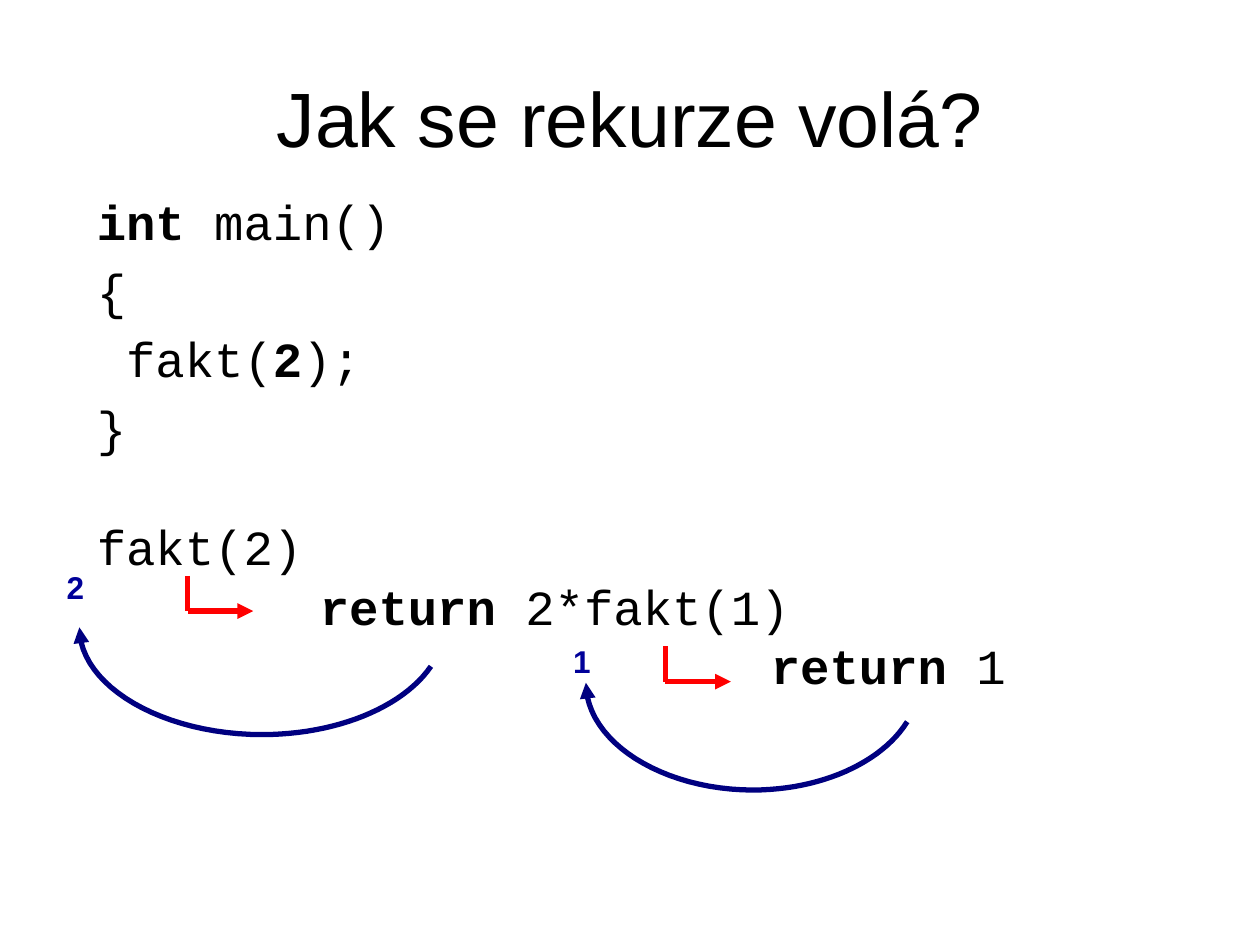
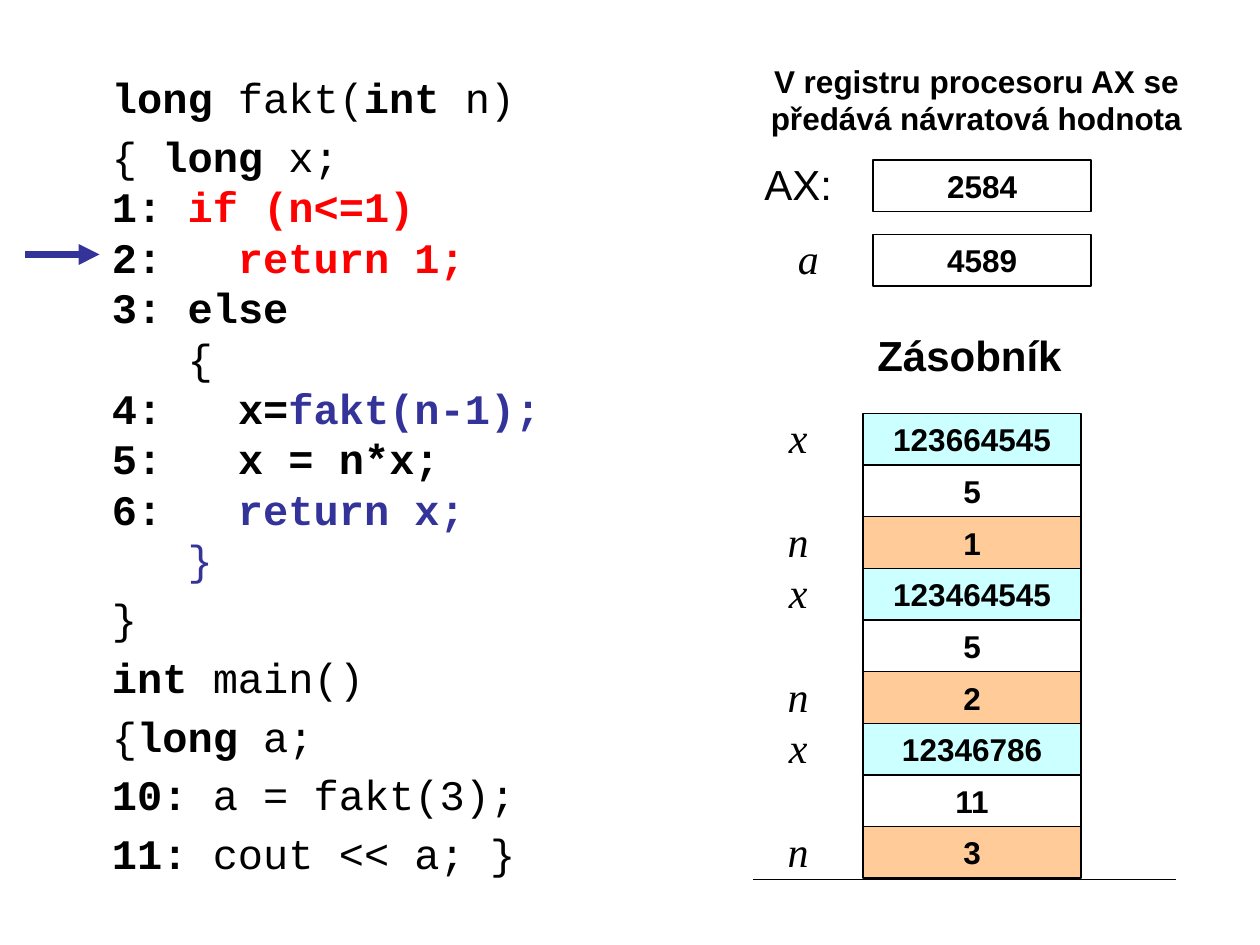
"""Two slides on recursion: the call chain and the stack of a factorial."""
from lxml import etree
from pptx import Presentation
from pptx.dml.color import RGBColor
from pptx.enum.shapes import MSO_CONNECTOR, MSO_SHAPE
from pptx.enum.text import MSO_ANCHOR, PP_ALIGN
from pptx.oxml.ns import qn
from pptx.util import Inches, Pt

LEFT, MID = PP_ALIGN.LEFT, PP_ALIGN.CENTER
MIDDLE = MSO_ANCHOR.MIDDLE
RECT, LINE = MSO_SHAPE.RECTANGLE, MSO_CONNECTOR.STRAIGHT
INK = {"black": "000000", "red": "FF0000", "blue": "333399", "navy": "000080",
       "digit": "000099", "aqua": "CCFFFF", "peach": "FFCC99"}
SANS, MONO, SERIF = "Arial", "Courier New", "Times New Roman"

STYLES = {
    "n": ({"bold": False}, "black"),
    "b": ({"bold": True}, "black"),
    "r": ({"bold": True}, "red"),
    "u": ({"bold": True}, "blue"),
    "v": ({"bold": False}, "blue"),
}
HEAD = {"name": SANS, "size": Pt(24), "bold": True}
NOTE = {"name": SANS, "size": Pt(18), "bold": True}
PLAIN = {"name": SANS, "size": Pt(24)}
VAR = {"name": SERIF, "size": Pt(24), "italic": True}

TITLE = "Jak se rekurze volá?"
MAIN = [
    [("int", "b"), (" main()", "n")],
    [("{", "n")],
    [(" fakt(", "n"), ("2", "b"), (");", "n")],
    [("}", "n")],
]
CALLS = [
    ((0.67, 4.1, 1.9, 0.55), [("fakt(2)", "n")]),
    ((2.44, 4.58, 4.29, 0.55), [("return", "b"), (" 2*fakt(1)", "n")]),
    ((6.02, 5.05, 2.2, 0.55), [("return", "b"), (" 1", "n")]),
]
STEPS = [(1.49, 4.57), (5.28, 5.13)]
BACKS = [
    ("1", (4.45, 5.05), (4.65, 5.41, 2.55)),
    ("2", (0.43, 4.46), (0.63, 4.97, 2.79)),
]
ARC = [
    [(1, 0.37), (0.92, 0.75), (0.73, 1), (0.52, 1)],
    [(0.52, 1), (0.24, 1), (0, 0.56), (0, 0.01)],
]
ARC_H, PARTS = 0.86, 24

FAKT = [
    ([("long", "b"), (" fakt(", "n"), ("int", "b"), (" n)", "n")], 0.2),
    ([("{ ", "n"), ("long", "b"), (" x;", "n")], 0.2),
    ([("1: ", "b"), ("if (n<=1)", "r")], 0),
    ([("2:  ", "b"), (" return 1;", "r")], 0),
    ([("3: else", "b")], 0),
    ([("   ", "b"), ("{", "n")], 0),
    ([("4:   x=", "b"), ("fakt(n-1);", "u")], 0),
    ([("5:   x = n*x;", "b")], 0),
    ([("6:", "b"), ("   return x;", "u")], 0),
    ([("   ", "u"), ("}", "v")], 0),
    ([("}", "n")], 0.2),
    ([("int", "b"), (" main()", "n")], 0.2),
    ([("{", "n"), ("long", "b"), (" a;", "n")], 0.2),
    ([("10:", "b"), (" a = fakt(3);", "n")], 0.2),
    ([("11:", "b"), (" cout << a; }", "n")], 0.2),
]
LABELS = [
    ("V registru procesoru AX se předává návratová hodnota",
     (5.98, 0.44, 3.54, 0.7), NOTE),
    ("Zásobník", (5.98, 2.57, 3.43, 0.5), HEAD),
    ("AX:", (5.94, 1.21, 0.79, 0.5), PLAIN),
    ("a", (6.14, 1.8, 0.55, 0.5), VAR),
]
CELLS = [("2584", 1.27), ("4589", 1.86)]
FRAMES = [("123664545", "5", "1"), ("123464545", "5", "2"),
          ("12346786", "11", "3")]
ROWS = [("x", "aqua"), ("", None), ("n", "peach")]
STACK, CELL_W, CELL_H = (6.85, 3.28), 1.73, 0.41


def color(name):
    return RGBColor.from_string(INK[name])


def style(font, form, ink="black"):
    for key, value in form.items():
        setattr(font, key, value)
    font.color.rgb = color(ink)


def box(slide, spot):
    frame = slide.shapes.add_textbox(*map(Inches, spot)).text_frame
    frame.word_wrap = True
    return frame


def label(slide, text, spot, form, ink="black", align=MID):
    para = box(slide, spot).paragraphs[0]
    para.alignment = align
    run = para.add_run()
    run.text = text
    style(run.font, form, ink)


def code(slide, spot, lines, size, lead=None):
    frame = box(slide, spot)
    for i, (runs, gap) in enumerate(lines):
        para = frame.add_paragraph() if i else frame.paragraphs[0]
        para.space_before = Pt(gap * size)
        if lead:
            para.line_spacing = lead
        props = para._p.get_or_add_pPr()
        props.set("marL", str(Inches(0.38)))
        props.set("indent", str(Inches(-0.38)))
        for text, key in runs:
            run = para.add_run()
            run.text = text
            form, ink = STYLES[key]
            style(run.font, {"name": MONO, "size": Pt(size), **form}, ink)


def stroke(shape, ink, width, arrow=False):
    shape.line.color.rgb = color(ink)
    shape.line.width = Pt(width)
    if arrow:
        tail = etree.SubElement(shape.line._get_or_add_ln(), qn("a:tailEnd"))
        tail.set("type", "triangle")


def line(slide, start, end, ink, width, arrow=False):
    join = slide.shapes.add_connector(LINE, *map(Inches, start + end))
    stroke(join, ink, width, arrow)
    etree.SubElement(join._element.spPr, qn("a:effectLst"))


def bend(curve, t):
    parts = [(1 - t) ** 3, 3 * t * (1 - t) ** 2, 3 * t * t * (1 - t), t ** 3]
    return [sum(p * spot[axis] for p, spot in zip(parts, curve))
            for axis in (0, 1)]


def arc(slide, left, top, width):
    spots = [bend(curve, i / PARTS) for curve in ARC for i in range(PARTS + 1)]
    spots = [(Inches(left + x * width), Inches(top + y * ARC_H))
             for x, y in spots]
    path = slide.shapes.build_freeform(*spots[0])
    path.add_line_segments(spots[1:], close=False)
    shape = path.convert_to_shape()
    shape.shadow.inherit = False
    shape.fill.background()
    stroke(shape, "navy", 3, True)


def cell(slide, text, left, top, fill=None):
    shape = slide.shapes.add_shape(
        RECT, *map(Inches, (left, top, CELL_W, CELL_H)))
    shape.shadow.inherit = False
    if fill:
        shape.fill.solid()
        shape.fill.fore_color.rgb = color(fill)
    else:
        shape.fill.background()
    stroke(shape, "black", 0.75)
    frame = shape.text_frame
    frame.vertical_anchor = MIDDLE
    para = frame.paragraphs[0]
    para.alignment = MID
    run = para.add_run()
    run.text = text
    style(run.font, NOTE)


def calls(deck):
    slide = deck.slides.add_slide(deck.slide_layouts[5])
    title = slide.shapes.title
    title.left, title.top, title.width, title.height = map(
        Inches, (0.5, 0.3, 9, 1.25))
    frame = title.text_frame
    frame.text = TITLE
    frame.vertical_anchor = MIDDLE
    frame.paragraphs[0].alignment = MID
    style(frame.paragraphs[0].runs[0].font, {"name": SANS, "size": Pt(44)})
    code(slide, (0.67, 1.47, 2.7, 2.16), [(runs, 0.2) for runs in MAIN], 28)
    for spot, runs in CALLS:
        code(slide, spot, [(runs, 0.2)], 28, 0.9)
    for x, y in STEPS:
        turn = (x, y + 0.28)
        line(slide, (x, y), turn, "red", 3)
        line(slide, turn, (x + 0.52, y + 0.28), "red", 3, True)
    for text, spot, curve in BACKS:
        arc(slide, *curve)
        label(slide, text, spot + (0.35, 0.4), NOTE, "digit", LEFT)


def stack(deck):
    slide = deck.slides.add_slide(deck.slide_layouts[6])
    code(slide, (0.79, 0.52, 4.29, 6.73), FAKT, 24)
    line(slide, (0.2, 2.02), (0.79, 2.02), "blue", 4, True)
    for text, spot, form in LABELS:
        label(slide, text, spot, form)
    for text, top in CELLS:
        cell(slide, text, 6.93, top)
    left, top = STACK
    for values in FRAMES:
        for text, (name, fill) in zip(values, ROWS):
            cell(slide, text, left, top, fill)
            if name:
                label(slide, name, (6.06, top - 0.06, 0.55, 0.5), VAR)
            top += CELL_H
    line(slide, (5.98, 6.98), (9.33, 6.98), "black", 0.75)


def main():
    deck = Presentation()
    deck.slide_width, deck.slide_height = Inches(10), Inches(7.5)
    calls(deck)
    stack(deck)
    deck.save("out.pptx")


if __name__ == "__main__":
    main()
